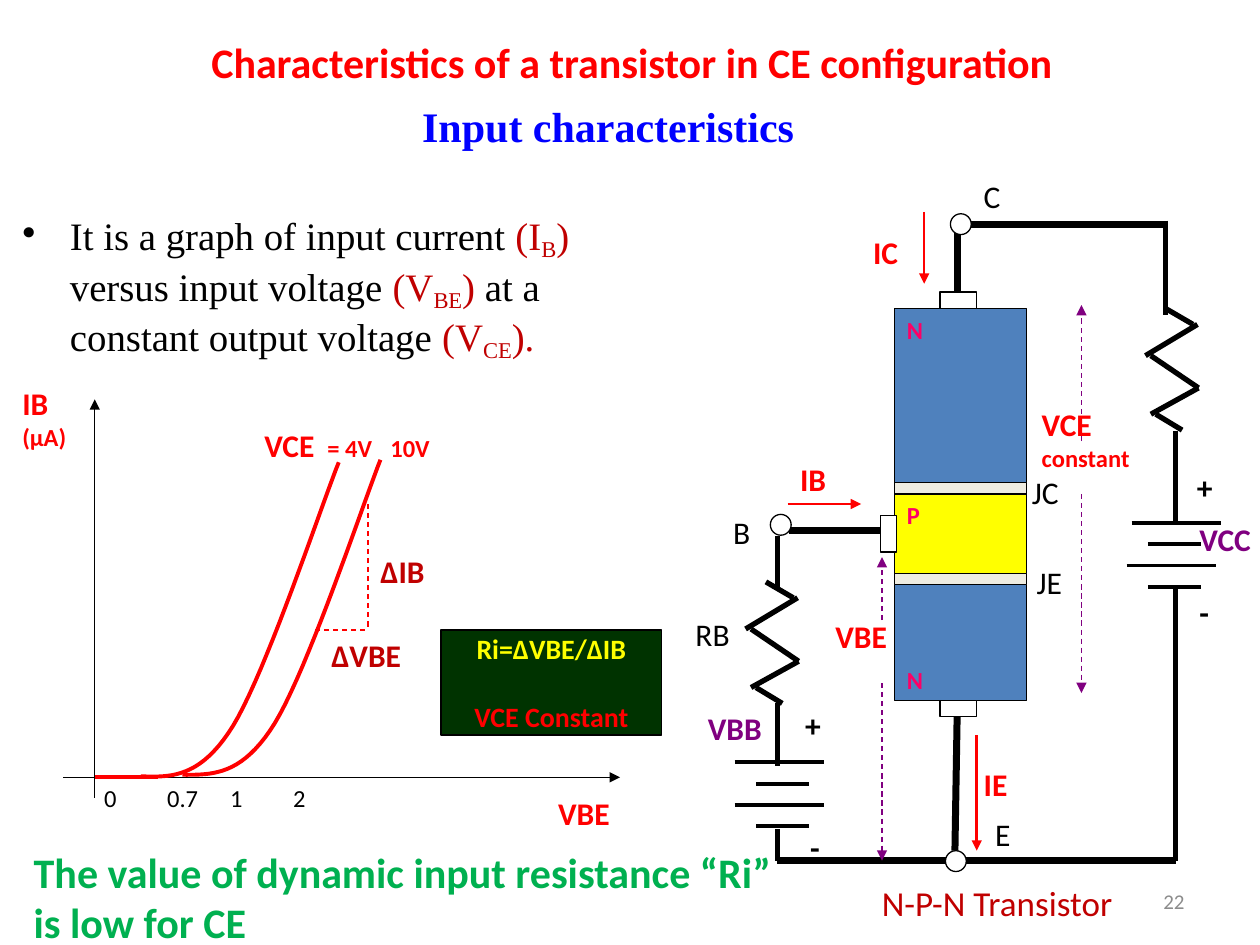
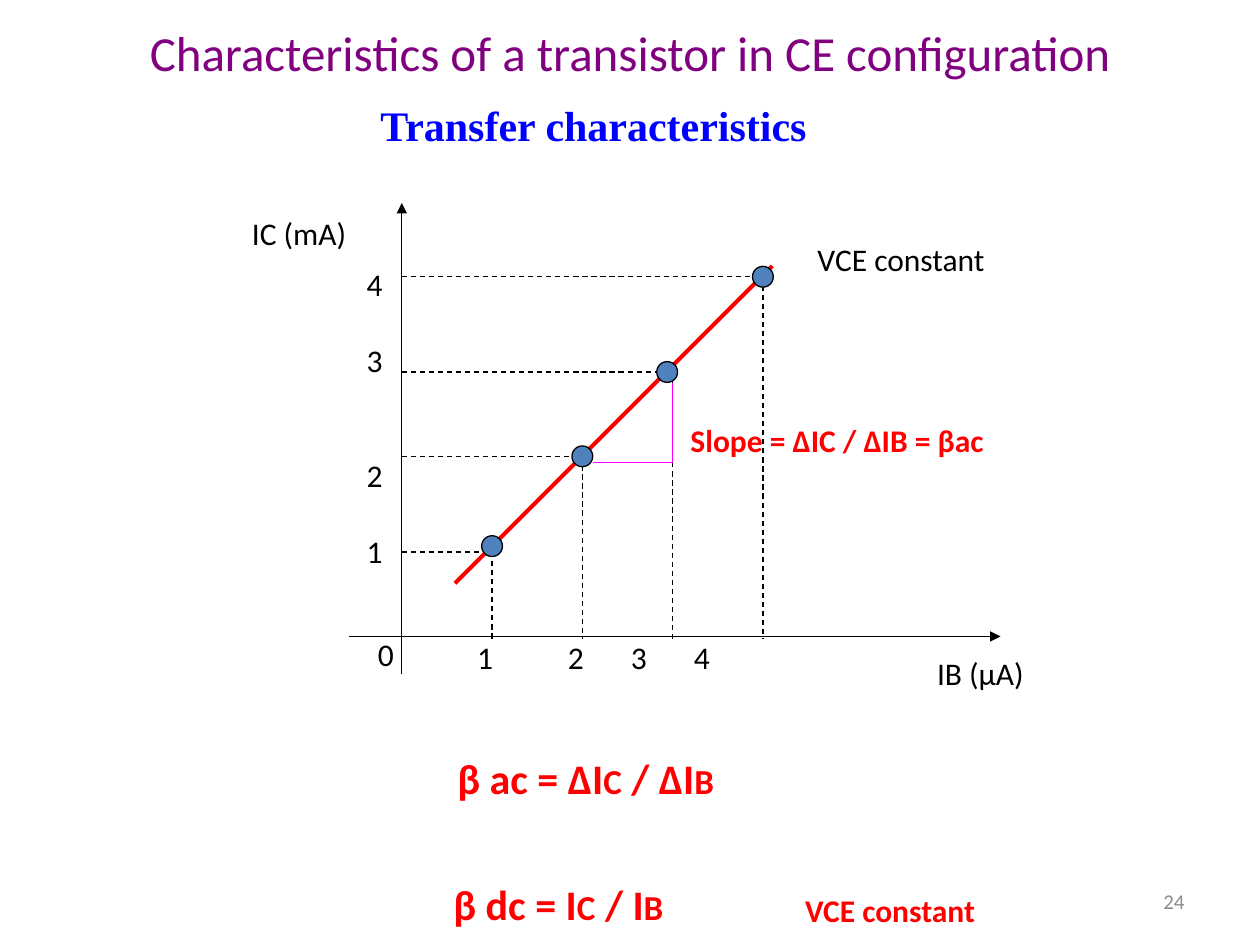
from pptx import Presentation
from pptx.dml.color import RGBColor
from pptx.enum.dml import MSO_LINE_DASH_STYLE as Dash
from pptx.enum.shapes import MSO_CONNECTOR as Connector, MSO_SHAPE as Shape
from pptx.enum.text import MSO_ANCHOR as Anchor, PP_ALIGN as Align
from pptx.oxml.ns import qn
from pptx.util import Cm, Pt
from lxml.etree import SubElement

BLACK = RGBColor(0x00, 0x00, 0x00)
WHITE = RGBColor(0xFF, 0xFF, 0xFF)
RED = RGBColor(0xFF, 0x00, 0x00)
DARK_RED = RGBColor(0xC0, 0x00, 0x00)
PURPLE = RGBColor(0x80, 0x00, 0x80)
MAGENTA = RGBColor(0xFF, 0x00, 0xFF)
PINK = RGBColor(0xFF, 0x00, 0x66)
BLUE = RGBColor(0x00, 0x00, 0xFF)
STEEL = RGBColor(0x4F, 0x81, 0xBD)
YELLOW = RGBColor(0xFF, 0xFF, 0x00)
CREAM = RGBColor(0xEE, 0xEC, 0xE1)
GREEN = RGBColor(0x00, 0xB0, 0x50)
DARK_GREEN = RGBColor(0x00, 0x33, 0x00)
GREY = RGBColor(0x8C, 0x8C, 0x8C)
SANS, SERIF = "Calibri", "Times New Roman"
HEADING = "Characteristics of a transistor in CE configuration"


# --- Text ---
def style(span, size, color, bold=False, font=SANS):
    span.font.size = Pt(size)
    span.font.color.rgb = color
    span.font.bold = bold
    span.font.name = font


def write(frame, text, size, color, bold=False, font=SANS, align=Align.LEFT):
    frame.text = text
    for para in frame.paragraphs:
        para.alignment = align
        for span in para.runs:
            style(span, size, color, bold, font)


def add_span(para, text, size, color, bold=False, font=SANS):
    span = para.add_run()
    span.text = text
    style(span, size, color, bold, font)
    return span


def set_tabs(para, stops):
    tabs = SubElement(para._p.get_or_add_pPr(), qn("a:tabLst"))
    for stop in stops:
        SubElement(tabs, qn("a:tab"), pos=str(Cm(stop)), algn="l")


def label(page, x, y, width, text, color=BLACK, size=18, bold=False, height=1.02,
          font=SANS, wrap=False, align=Align.LEFT, anchor=Anchor.TOP, tabs=()):
    box = page.shapes.add_textbox(Cm(x), Cm(y), Cm(width), Cm(height))
    frame = box.text_frame
    frame.word_wrap = wrap
    frame.vertical_anchor = anchor
    if tabs:
        set_tabs(frame.paragraphs[0], tabs)
    write(frame, text, size, color, bold, font, align)
    return frame


def formula(page, x, y, width, parts):
    """Large symbols alternate with smaller index letters."""
    para = label(page, x, y, width, "", height=1.28).paragraphs[0]
    for index, part in enumerate(parts):
        add_span(para, part, 20 if index % 2 else 24, RED, True)


def page_number(page, number):
    label(page, 18.21, 17.65, 5.92, number, GREY, 12, wrap=True,
          align=Align.RIGHT, anchor=Anchor.MIDDLE)


def subtitle(page, x, y, width, text):
    label(page, x, y, width, text, BLUE, 24, True, 1.3, SERIF, True)


# --- Lines and shapes ---
def line(page, x1, y1, x2, y2, color=BLACK, width=0.75, dashed=False, arrow=False):
    link = page.shapes.add_connector(Connector.STRAIGHT, Cm(x1), Cm(y1), Cm(x2), Cm(y2))
    link.line.color.rgb = color
    link.line.width = Pt(width)
    if dashed:
        link.line.dash_style = Dash.DASH
    if arrow:
        SubElement(link.line._get_or_add_ln(), qn("a:tailEnd"), type="triangle")
    SubElement(link._element.spPr, qn("a:effectLst"))


def solid(page, x, y, width, height, fill, kind=Shape.RECTANGLE):
    shape = page.shapes.add_shape(kind, Cm(x), Cm(y), Cm(width), Cm(height))
    shape.shadow.inherit = False
    shape.fill.solid()
    shape.fill.fore_color.rgb = fill
    shape.line.color.rgb = BLACK
    shape.line.width = Pt(0.75)
    return shape


def dot(page, x, y, fill=WHITE, radius=0.21):
    solid(page, x - radius, y - radius, 2 * radius, 2 * radius, fill, Shape.OVAL)


def curve(page, start, control1, control2, end, control3, control4, finish):
    """Two joined cubic curves drawn as one smooth outline."""
    points = []
    for knots in ((start, control1, control2, end), (end, control3, control4, finish)):
        for step in range(21):
            t = step / 20
            weights = ((1 - t) ** 3, 3 * t * (1 - t) ** 2, 3 * t * t * (1 - t), t ** 3)
            points.append([Cm(sum(w * knot[axis] for w, knot in zip(weights, knots)))
                           for axis in (0, 1)])
    builder = page.shapes.build_freeform(*points[0])
    builder.add_line_segments(points[1:], close=False)
    outline = builder.convert_to_shape()
    outline.shadow.inherit = False
    outline.fill.background()
    outline.line.color.rgb = RED
    outline.line.width = Pt(2.25)


# --- Circuit parts ---
def layer(page, y, height, fill, letter, anchor=Anchor.TOP):
    frame = solid(page, 18.03, y, 2.67, height, fill).text_frame
    frame.word_wrap = False
    frame.vertical_anchor = anchor
    write(frame, letter, 14, PINK, True)


def resistor(page, x, y):
    strokes = ((0, 0, 0.55, 0.32), (-0.41, 0.95, 0.64, 0.32), (-0.3, 0.95, 0.66, 1.6),
               (-0.3, 2.13, 0.66, 1.6), (-0.2, 2.13, 0.33, 2.45))
    for x1, y1, x2, y2 in strokes:
        line(page, x + x1, y + y1, x + x2, y + y2, width=3)


def battery(page, x, y, top_shift=0):
    for index, shift in enumerate((top_shift, 0, 0, 0)):
        left, length = (0.43, 1.07) if index % 2 else (shift, 1.81)
        level = y + index * 0.43
        line(page, x + left, level, x + left + length, level, width=2.25)


def draw_circuit(page):
    # Transistor body
    layer(page, 6.22, 3.73, STEEL, "N")
    layer(page, 11.66, 2.46, STEEL, "N", Anchor.BOTTOM)
    layer(page, 9.96, 1.7, YELLOW, "P")

    # Thick wires, junctions, contacts and terminals
    for wire in ((19.3, 6.22, 19.3, 4.52), (19.25, 17.15, 19.3, 14.12),
                 (15.9, 10.69, 18.03, 10.69), (15.67, 17.35, 19.1, 17.35),
                 (19.53, 4.52, 23.47, 4.52), (19.41, 17.35, 23.7, 17.35)):
        line(page, *wire, width=4)
    for y in (9.73, 11.56):
        solid(page, 18.03, y, 2.67, 0.23, CREAM)
    for contact in ((18.95, 5.89, 0.74, 0.33), (18.95, 14.12, 0.74, 0.33),
                    (17.75, 10.39, 0.33, 0.74)):
        solid(page, *contact, WHITE)
    for x, y in ((19.27, 17.36), (15.74, 10.58), (19.37, 4.52)):
        dot(page, x, y)

    # Supply branches
    battery(page, 14.81, 15.37)
    battery(page, 22.71, 10.54, 0.1)
    resistor(page, 15.44, 11.73)
    resistor(page, 23.5, 6.22)
    for x, top, bottom in ((23.5, 4.45, 6.35), (23.7, 8.69, 10.59), (23.7, 11.86, 17.35),
                           (15.67, 10.8, 11.86), (15.67, 14.17, 15.44),
                           (15.67, 16.71, 17.35)):
        line(page, x, top, x, bottom, width=3)

    # Current and voltage arrows
    line(page, 18.63, 4.27, 18.63, 5.72, RED, 1.5, arrow=True)
    line(page, 15.88, 10.16, 17.36, 10.16, RED, arrow=True)
    line(page, 19.69, 14.82, 19.69, 17.15, RED, 1.5, arrow=True)
    for x, start, end in ((21.8, 8.89, 6.15), (21.8, 9.96, 13.97),
                          (17.78, 13.77, 17.35), (17.78, 12.5, 11.23)):
        line(page, x, start, x, end, PURPLE, dashed=True, arrow=True)

    # Names
    for x, y, width, text in ((19.58, 3.45, 0.97, "C"), (19.81, 16.31, 0.94, "E"),
                              (14.53, 10.21, 0.94, "B"), (20.55, 9.42, 1.14, "JC"),
                              (20.65, 11.23, 1.12, "JE"), (13.77, 12.27, 1.24, "RB")):
        label(page, x, y, width, text)
    for x, y, width, text, color in (
            (15.98, 14.1, 0.89, "+", BLACK), (16.08, 16.56, 0.71, "-", BLACK),
            (23.93, 11.84, 0.71, "-", BLACK), (23.88, 9.32, 0.89, "+", BLACK),
            (17.35, 4.57, 1.17, "IC", RED), (15.88, 9.14, 1.19, "IB", RED),
            (19.58, 15.29, 1.14, "IE", RED), (16.59, 12.32, 1.6, "VBE", RED),
            (14.02, 14.17, 1.65, "VBB", PURPLE), (23.93, 10.36, 1.6, "VCC", PURPLE)):
        label(page, x, y, width, text, color, bold=True)
    frame = label(page, 20.75, 8.05, 2.92, "VCE\nconstant", RED, bold=True, height=1.6)
    frame.paragraphs[1].runs[0].font.size = Pt(14)
    label(page, 15.44, 17.55, 9.32, "N-P-N Transistor", DARK_RED, 20, height=1.27,
          wrap=True, align=Align.CENTER, anchor=Anchor.MIDDLE)


# --- Slide parts ---
def draw_definition(page):
    para = label(page, 0.2, 4.15, 12.9, "", height=2.83, wrap=True).paragraphs[0]
    props = para._p.get_or_add_pPr()
    props.set("marL", str(Cm(0.96)))
    props.set("indent", str(Cm(-0.96)))
    SubElement(props, qn("a:buChar"), char="•")
    for lead, symbol, index, close in (
            ("It is a graph of input current ", "(I", "B", ")"),
            (" versus input voltage ", "(V", "BE", ")"),
            (" at a constant output voltage ", "(V", "CE", ").")):
        add_span(para, lead, 22.2, BLACK, font=SERIF)
        add_span(para, symbol, 22.2, DARK_RED, font=SERIF)
        low = add_span(para, index, 22.2, DARK_RED, font=SERIF)
        low.font._element.set("baseline", "-18000")
        add_span(para, close, 22.2, DARK_RED, font=SERIF)


def draw_input_graph(page):
    # Axes
    line(page, 1.27, 15.67, 12.5, 15.67, arrow=True)
    line(page, 1.91, 16.08, 1.91, 8.05, arrow=True)
    label(page, 11, 15.88, 1.6, "VBE", RED, bold=True)
    frame = label(page, 0.2, 7.62, 1.78, "IB\n(μA)", RED, bold=True, height=1.6)
    frame.paragraphs[1].runs[0].font.size = Pt(14)
    label(page, 1.85, 15.67, 7.06, "0\t0.7\t1\t2", size=14, height=0.84,
          wrap=True, tabs=(1.25, 2.22, 4.25))

    # Curves
    line(page, 1.91, 15.67, 3.18, 15.67, RED, 2.25)
    curve(page, (2.84, 15.65), (3.43, 15.67), (4.04, 15.7), (4.7, 14.63),
          (5.36, 13.56), (6.48, 10.19), (6.83, 9.32))
    curve(page, (3.68, 15.62), (4.27, 15.62), (4.88, 15.65), (5.54, 14.58),
          (6.2, 13.51), (7.32, 10.16), (7.67, 9.27))
    frame = label(page, 5.08, 8.46, 5.64, "VCE", RED, bold=True, wrap=True,
                  tabs=(1.29, 3.1))
    add_span(frame.paragraphs[0], "\t= 4V\t10V", 14, RED, True)

    # Slope triangle
    line(page, 7.42, 10.16, 7.42, 12.7, RED, dashed=True)
    line(page, 6.35, 12.7, 7.42, 12.7, RED, dashed=True)
    label(page, 7.42, 11, 1.7, "ΔIB", DARK_RED, bold=True)
    label(page, 6.43, 12.7, 2.13, "ΔVBE", DARK_RED, bold=True)

    # Resistance formula
    frame = solid(page, 8.89, 12.7, 4.45, 2.12, DARK_GREEN).text_frame
    frame.word_wrap = False
    frame.vertical_anchor = Anchor.MIDDLE
    write(frame, "Ri=ΔVBE/ΔIB\nVCE Constant", 16, YELLOW, True, align=Align.CENTER)
    condition = frame.paragraphs[1]
    condition.space_before = Pt(19.5)
    condition.runs[0].font.color.rgb = RED


def draw_transfer_graph(page):
    # Axes and transfer line
    line(page, 7.04, 12.83, 20.17, 12.83, arrow=True)
    line(page, 8.1, 13.59, 8.1, 4.09, arrow=True)
    line(page, 9.17, 11.76, 15.57, 5.36, RED, 2.25)

    # Guides and measured points
    points = ((9.92, 11.01), (11.74, 9.2), (13.45, 7.5), (15.38, 5.58))
    guides = ((9.92, 11.13), (11.74, 9.2), (13.56, 7.5), (15.38, 5.58))
    for x, y in guides:
        line(page, x, y, x, 12.88, dashed=True)
        line(page, 8.1, y, x, y, dashed=True)
    for x, y in points:
        dot(page, x, y, STEEL)

    # Scales
    label(page, 7.37, 12.67, 0.86, "0")
    label(page, 9.37, 12.73, 0.86, "1")
    label(page, 11.2, 12.73, 4.57, "2\t3\t4", wrap=True, tabs=(1.61, 3.06))
    frame = label(page, 7.14, 5.21, 0.86, "4\n3\n2\n1", height=6.35)
    for para, gap in zip(frame.paragraphs[1:], (22, 44, 22)):
        para.space_before = Pt(gap)
    label(page, 18.64, 13.06, 2.36, "IB (μA)")
    label(page, 4.83, 4.19, 2.54, "IC (mA)")
    label(page, 16.23, 4.72, 4.09, "VCE constant")

    # Slope
    line(page, 13.56, 7.72, 13.56, 9.32, MAGENTA)
    line(page, 13.56, 9.32, 11.96, 9.32, MAGENTA)
    label(page, 13.67, 8.36, 6.96, "Slope = ΔIC / ΔIB = βac", RED, bold=True)


def input_slide(page):
    label(page, 4.01, 0.36, 17.68, HEADING, RED, 24, True, 1.78, wrap=True,
          anchor=Anchor.MIDDLE)
    draw_definition(page)
    draw_circuit(page)
    draw_input_graph(page)
    label(page, 0.43, 16.94, 16.08,
          "The value of dynamic input resistance “Ri” is low for CE",
          GREEN, 24, True, 2.31, wrap=True)
    subtitle(page, 8.26, 1.91, 8.31, "Input characteristics")
    page_number(page, "22")


def transfer_slide(page):
    label(page, 1.27, 0.13, 22.86, HEADING, PURPLE, 28, height=1.83, wrap=True,
          align=Align.CENTER, anchor=Anchor.MIDDLE)
    subtitle(page, 7.42, 1.88, 16.71, "Transfer characteristics")
    draw_transfer_graph(page)
    formula(page, 8.97, 15.04, 5.74, ("β ac = ΔI", "C", " / ΔI", "B"))
    formula(page, 8.89, 17.58, 4.85, ("β dc = I", "C", " / I", "B"))
    label(page, 15.98, 17.83, 4.34, "VCE constant", RED, bold=True)
    page_number(page, "24")


def main():
    deck = Presentation()
    deck.slide_width, deck.slide_height = Cm(25.4), Cm(19.05)
    blank = deck.slide_layouts[6]
    for build in (input_slide, transfer_slide):
        build(deck.slides.add_slide(blank))
    deck.save("out.pptx")


if __name__ == "__main__":
    main()
